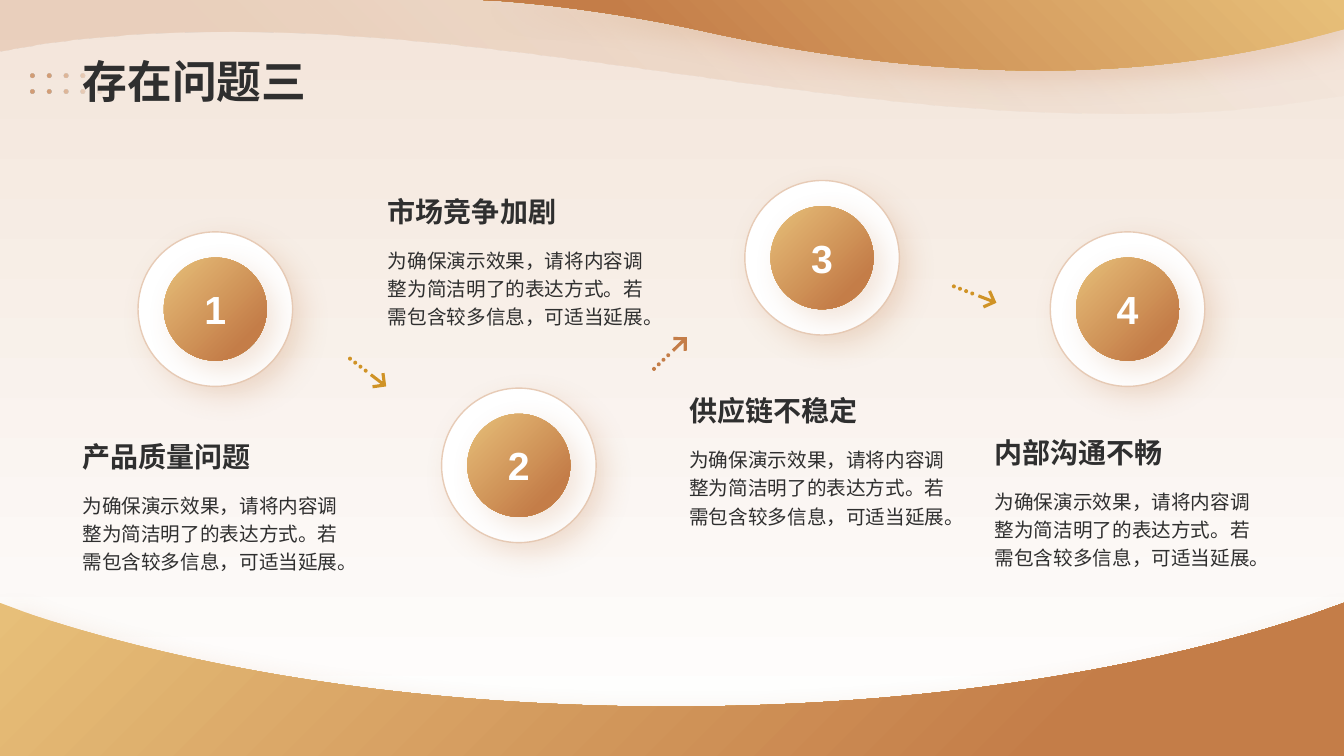
import math

import pptx
import pptx.dml.color
import pptx.enum.shapes
import pptx.enum.text
import pptx.oxml
import pptx.oxml.ns
import pptx.util

Pt = pptx.util.Pt
RGBColor = pptx.dml.color.RGBColor
Align = pptx.enum.text.PP_ALIGN
Anchor = pptx.enum.text.MSO_ANCHOR
qn = pptx.oxml.ns.qn

GOLD = RGBColor(0xE7, 0xBF, 0x79)
COPPER = RGBColor(0xC4, 0x7D, 0x48)
TAN = RGBColor(0xDC, 0xB1, 0x91)
RIM = RGBColor(0xE7, 0xCB, 0xB6)
OCHRE = RGBColor(0xD0, 0x93, 0x26)
CREAM = RGBColor(0xF3, 0xE5, 0xDA)
WHITE = RGBColor(0xFF, 0xFF, 0xFF)
INK = RGBColor(0x2F, 0x2F, 0x2F)
CJK_FONT = "Noto Sans CJK SC"
GOLD_TO_COPPER = [(0, GOLD, 100), (0.8, COPPER, 100)]

deck = pptx.Presentation()
deck.slide_width, deck.slide_height = Pt(960), Pt(540)
slide = deck.slides.add_slide(deck.slide_layouts[5])
shapes = slide.shapes


def trace(contours, center=(0, 0)):
    """Draw closed contours; a step of 2 numbers is a line, of 6 a cubic curve."""
    builder = None
    for contour in contours:
        points = [contour[0]]
        for step in contour[1:]:
            if len(step) == 2:
                points.append(step)
                continue
            corners = [points[-1], step[:2], step[2:4], step[4:]]
            for i in range(1, 41):
                t = i / 40
                weights = [math.comb(3, k) * t**k * (1 - t) ** (3 - k) for k in range(4)]
                points.append(tuple(sum(w * c[axis] for w, c in zip(weights, corners))
                                    for axis in (0, 1)))
        points = [(Pt(x + center[0]), Pt(y + center[1])) for x, y in points]
        if builder is None:
            builder = shapes.build_freeform(*points[0])
        else:
            builder.move_to(*points[0])
        builder.add_line_segments(points[1:], close=True)
    shape = builder.convert_to_shape()
    shape.shadow.inherit = False
    shape.line.fill.background()
    return shape


def paint(fill, stops, angle):
    """Apply a two-stop gradient; the angle is clockwise, opacity in percent."""
    fill.gradient()
    fill.gradient_angle = (360 - angle) % 360
    for stop, (position, color, opacity) in zip(fill.gradient_stops, stops):
        stop.position = position
        stop.color.rgb = color
        if opacity < 100:
            alpha = pptx.oxml.parse_xml(
                f'<a:alpha {pptx.oxml.ns.nsdecls("a")} val="{opacity * 1000}"/>')
            stop._gs.find(qn("a:srgbClr")).append(alpha)


paint(slide.background.fill, [(0, CREAM, 100), (1, WHITE, 100)], 90)

# Top waves and dot grid
wave = trace([[(788.4, 80.6), (834.5, 81.4, 879.8, 79.2, 925.9, 72.7), (960, 67.7),
               (960, 0), (0, 0), (0, 36.7), (33.8, 31),
               (285.8, -2.9, 537.1, 79.2, 788.4, 80.6)]])
paint(wave.fill, [(0.2, COPPER, 20), (1, COPPER, 0)], 315)

ribbon = trace([[(960, 0), (344.9, 0), (357.8, 0.7),
                 (412.6, 5, 463, 13.7, 499.7, 21.6),
                 (593.3, 42.5, 673.9, 50.4, 743.8, 50.4),
                 (817.2, 50.4, 879.1, 41, 932.4, 28.1), (960, 20.9)]])
paint(ribbon.fill, GOLD_TO_COPPER, 135)

circle = [(math.cos(i * math.pi / 6), math.sin(i * math.pi / 6)) for i in range(12)]
dots = trace([[(23.3 + 11.9 * column + 1.7 * x, 54 + 10.9 * row + 1.7 * y)
               for x, y in circle] for row in range(2) for column in range(6)])
paint(dots.fill, [(0.2, COPPER, 70), (1, TAN, 0)], 0)

# Title, brought in front of the waves
title = shapes.title
title.left, title.top, title.width, title.height = Pt(51.8), Pt(10.1), Pt(855.4), Pt(70.6)
shapes._spTree.append(title._element)

# Dotted arrows between the steps
upper_edge = [(3.2, -1.1), (12.8, -1.1), (8.6, -5.3), (10.2, -6.9), (17, 0)]
arrow_head = upper_edge + [(x, -y) for x, y in upper_edge[-2::-1]]
arrow_dots = [[(-15.6 + 4.7 * i + 1.4 * x, 1.4 * y) for x, y in circle] for i in range(4)]
for center, angle, color in [((262.4, 265.7), 37.5, OCHRE),
                             ((478.4, 252.7), 316.1, COPPER),
                             ((695.9, 210.2), 21.1, OCHRE)]:
    arrow = trace(arrow_dots + [arrow_head], center)
    arrow.rotation = angle
    arrow.fill.solid()
    arrow.fill.fore_color.rgb = color

# Steps: heading, disc left and top, text left, top and width
BODY = "为确保演示效果，请将内容调整为简洁明了的表达方式。若需包含较多信息，可适当延展。"
STEPS = [
    ("产品质量问题", 98.6, 165.6, 51.8, 345.6, 203.8),
    ("市场竞争加剧", 315.4, 277.2, 270, 170.6, 201.6),
    ("供应链不稳定", 532, 128.9, 485.3, 313.2, 203.8),
    ("内部沟通不畅", 750.2, 165.6, 703.4, 342.7, 203.8),
]
OVAL = pptx.enum.shapes.MSO_SHAPE.OVAL
shadowed = [ribbon]
# Shape, words, size, font, colour, bold, alignment, anchor, line spacing
writings = [(title, "存在问题三", 32, "Arial", INK, True, Align.LEFT, Anchor.BOTTOM, 1)]
for number, (heading, x, y, text_left, text_top, width) in enumerate(STEPS, 1):
    disc = shapes.add_shape(OVAL, Pt(x), Pt(y), Pt(110.4), Pt(110.4))
    disc.fill.solid()
    disc.fill.fore_color.rgb = WHITE
    disc.line.color.rgb = RIM
    disc.line.width = Pt(1)
    badge = shapes.add_shape(OVAL, Pt(x + 18.4), Pt(y + 18.4), Pt(73.6), Pt(73.6))
    badge.line.fill.background()
    paint(badge.fill, GOLD_TO_COPPER, 45)
    shadowed += [disc, badge]
    body_box = shapes.add_textbox(Pt(text_left), Pt(text_top), Pt(width), Pt(101.5))
    heading_box = shapes.add_textbox(Pt(text_left), Pt(text_top - 59), Pt(width), Pt(54.7))
    writings += [
        (badge, str(number), 28, "Arial", WHITE, True, Align.CENTER, Anchor.MIDDLE, 1),
        (body_box, BODY, 14, CJK_FONT, INK, False, Align.LEFT, Anchor.TOP, 1.2),
        (heading_box, heading, 20, CJK_FONT, INK, True, Align.LEFT, Anchor.BOTTOM, 1),
    ]

for shape, words, size, font, color, bold, align, anchor, spacing in writings:
    frame = shape.text_frame
    frame.word_wrap = True
    frame.auto_size = pptx.enum.text.MSO_AUTO_SIZE.NONE
    frame.vertical_anchor = anchor
    para = frame.paragraphs[0]
    para.alignment = align
    para.line_spacing = spacing
    span = para.add_run()
    span.text = words
    span.font.size = Pt(size)
    span.font.bold = bold
    span.font.color.rgb = color
    span.font.name = font
    east_asian = pptx.oxml.parse_xml(
        f'<a:ea {pptx.oxml.ns.nsdecls("a")} typeface="{CJK_FONT}"/>')
    span.font._element.find(qn("a:latin")).addnext(east_asian)

# Bottom bowl
bowl = trace([[(960, 430.6), (960, 540), (0, 540), (0, 430.6), (23, 439.2),
               (146.9, 480.2, 306, 504.7, 479.5, 504.7),
               (653, 504.7, 812.2, 480.2, 936, 439.2)]])
paint(bowl.fill, GOLD_TO_COPPER, 45)
shadowed.append(bowl)

for shape in shadowed:
    shape.shadow.inherit = False
    shadow = pptx.oxml.parse_xml(
        f'<a:outerShdw {pptx.oxml.ns.nsdecls("a")} blurRad="{Pt(20)}" dist="{Pt(10)}" '
        f'dir="2700000" algn="tl" rotWithShape="0"><a:srgbClr val="{COPPER}">'
        '<a:alpha val="20000"/></a:srgbClr></a:outerShdw>')
    shape._element.spPr.find(qn("a:effectLst")).append(shadow)

deck.save("out.pptx")
